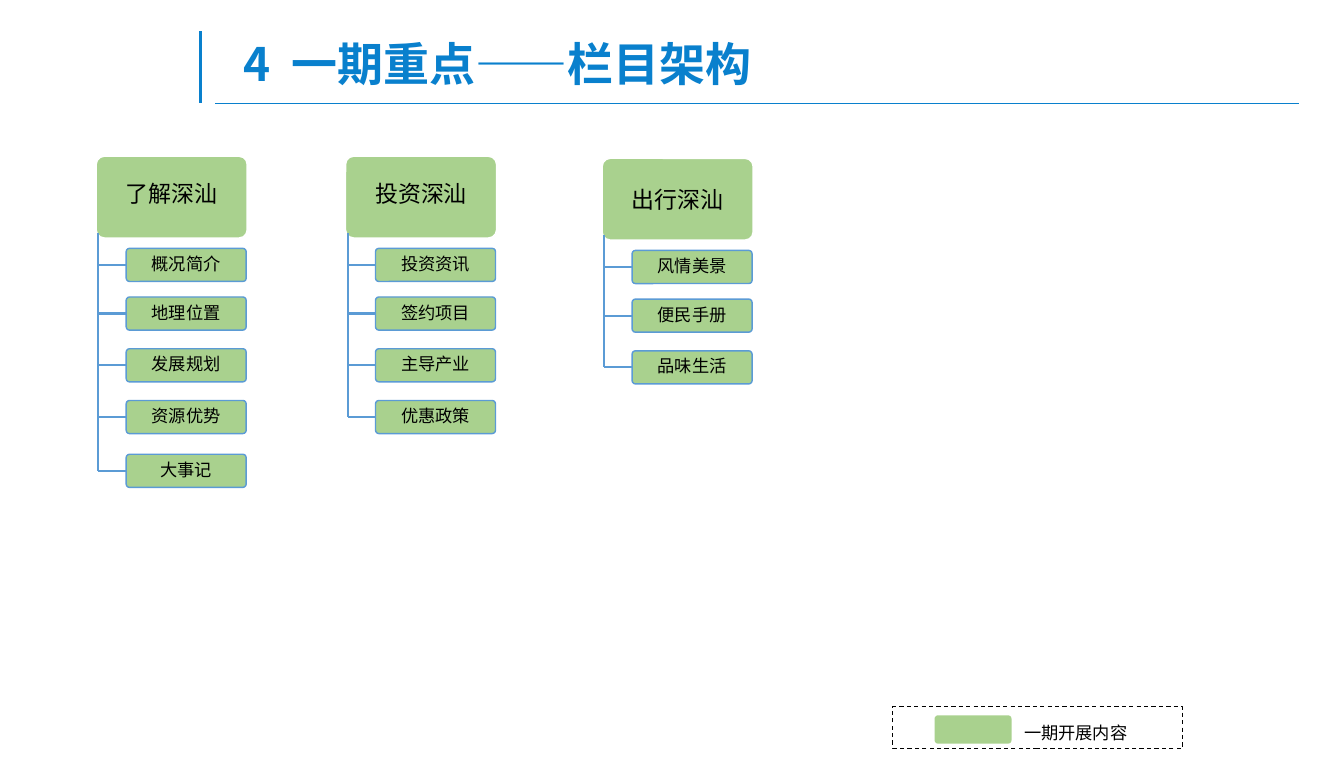
"""Build the slide showing the phase-one column structure."""
from dataclasses import dataclass

from lxml.etree import SubElement
from pptx import Presentation
from pptx.dml.color import RGBColor
from pptx.enum.dml import MSO_LINE
from pptx.enum.shapes import MSO_CONNECTOR, MSO_SHAPE
from pptx.enum.text import MSO_ANCHOR, MSO_AUTO_SIZE, PP_ALIGN
from pptx.oxml.ns import qn
from pptx.shapes.autoshape import Shape
from pptx.slide import Slide
from pptx.text.text import TextFrame
from pptx.util import Inches, Pt

FONT = "Noto Sans CJK SC"
TITLE_BLUE = RGBColor(0x09, 0x80, 0xCD)
BRANCH_BLUE = RGBColor(0x5B, 0x9B, 0xD5)
GREEN = RGBColor(0xA9, 0xD1, 0x8E)
WHITE = RGBColor(0xFF, 0xFF, 0xFF)
BLACK = RGBColor(0x00, 0x00, 0x00)

HEADING_WIDTH, HEADING_HEIGHT = 1.46, 0.79
ENTRY_WIDTH, ENTRY_HEIGHT = 1.16, 0.32
ENTRY_INDENT = 0.29
ENTRY_OFFSETS = (0.89, 1.36, 1.86, 2.36, 2.88)
TRUNK_INDENT, TRUNK_OFFSET = 0.02, 0.74


@dataclass(frozen=True)
class Column:
    """A heading with the entries that branch off below it."""

    heading: str
    left: float
    top: float
    heading_spacing: float
    entries: tuple[str, ...]


COLUMNS = (
    Column("了解深汕", 0.93, 1.51, 0.6,
           ("概况简介", "地理位置", "发展规划", "资源优势", "大事记")),
    Column("投资深汕", 3.34, 1.51, 0.6,
           ("投资资讯", "签约项目", "主导产业", "优惠政策")),
    Column("出行深汕", 5.82, 1.53, 1.0,
           ("风情美景", "便民手册", "品味生活")),
)


def write(frame: TextFrame, text: str, size: float, color: RGBColor,
          align: PP_ALIGN, spacing: float, bold: bool = False) -> None:
    """Put one formatted paragraph into a text frame."""
    frame.text = text
    paragraph = frame.paragraphs[0]
    paragraph.alignment = align
    paragraph.line_spacing = spacing
    for run in paragraph.runs:
        run.font.name = FONT
        run.font.size = Pt(size)
        run.font.bold = bold
        run.font.color.rgb = color
        SubElement(run.font._element, qn("a:ea")).set("typeface", FONT)


def add_line(slide: Slide, start: tuple[float, float], end: tuple[float, float],
             color: RGBColor, width: float) -> None:
    """Draw a straight line without a shadow."""
    line = slide.shapes.add_connector(
        MSO_CONNECTOR.STRAIGHT, *map(Inches, (*start, *end)))
    line.line.color.rgb = color
    line.line.width = Pt(width)
    SubElement(line._element.spPr, qn("a:effectLst"))


def add_box(slide: Slide, left: float, top: float, width: float, height: float,
            outline: RGBColor) -> Shape:
    """Draw a green rounded box."""
    box = slide.shapes.add_shape(
        MSO_SHAPE.ROUNDED_RECTANGLE, *map(Inches, (left, top, width, height)))
    box.adjustments[0] = 0.1
    box.shadow.inherit = False
    box.fill.solid()
    box.fill.fore_color.rgb = GREEN
    box.line.color.rgb = outline
    box.line.width = Pt(1)
    return box


def label_box(box: Shape, text: str, size: float, spacing: float) -> None:
    """Centre a label in a box with narrow margins."""
    frame = box.text_frame
    frame.margin_left = frame.margin_right = Inches(0.04)
    frame.margin_top = frame.margin_bottom = Inches(0.03)
    frame.vertical_anchor = MSO_ANCHOR.MIDDLE
    write(frame, text, size, BLACK, PP_ALIGN.CENTER, spacing)


def add_column(slide: Slide, column: Column) -> None:
    """Draw a heading, its entries and the branches joining them."""
    heading = add_box(slide, column.left, column.top,
                      HEADING_WIDTH, HEADING_HEIGHT, WHITE)
    label_box(heading, column.heading, 16, column.heading_spacing)

    trunk = column.left + TRUNK_INDENT
    entry_left = column.left + ENTRY_INDENT
    middle = column.top
    for entry, offset in zip(column.entries, ENTRY_OFFSETS):
        top = column.top + offset
        middle = top + ENTRY_HEIGHT / 2
        box = add_box(slide, entry_left, top, ENTRY_WIDTH, ENTRY_HEIGHT, BRANCH_BLUE)
        label_box(box, entry, 12, 0.9)
        add_line(slide, (trunk, middle), (entry_left, middle), BRANCH_BLUE, 1.5)
    add_line(slide, (trunk, column.top + TRUNK_OFFSET), (trunk, middle),
             BRANCH_BLUE, 1.5)


def add_title(slide: Slide) -> None:
    """Format the title and draw its two rules."""
    add_line(slide, (2.08, 1), (12.56, 1), TITLE_BLUE, 0.5)
    add_line(slide, (1.94, 0.3), (1.94, 1), TITLE_BLUE, 2.25)
    title = slide.shapes.title
    title.left, title.top = Inches(2.25), Inches(0.3)
    title.width, title.height = Inches(10.24), Inches(0.69)
    frame = title.text_frame
    frame.auto_size = MSO_AUTO_SIZE.NONE
    frame.vertical_anchor = MSO_ANCHOR.MIDDLE
    write(frame, "4  一期重点——栏目架构", 32, TITLE_BLUE, PP_ALIGN.LEFT, 0.9, bold=True)


def add_legend(slide: Slide) -> None:
    """Draw the dashed legend with its swatch and label."""
    label = slide.shapes.add_textbox(*map(Inches, (9.8, 6.83, 1.46, 0.4)))
    label.text_frame.word_wrap = True
    write(label.text_frame, "一期开展内容", 12, BLACK, PP_ALIGN.LEFT, 1.5)
    add_box(slide, 9.04, 6.92, 0.73, 0.26, GREEN)
    border = slide.shapes.add_shape(
        MSO_SHAPE.RECTANGLE, *map(Inches, (8.63, 6.83, 2.8, 0.4)))
    border.shadow.inherit = False
    border.fill.background()
    border.line.color.rgb = BLACK
    border.line.width = Pt(0.75)
    border.line.dash_style = MSO_LINE.DASH


def main() -> None:
    """Create the presentation and save it."""
    presentation = Presentation()
    presentation.slide_width = Inches(12.99)
    presentation.slide_height = Inches(7.48)
    slide = presentation.slides.add_slide(presentation.slide_layouts[5])
    add_title(slide)
    for column in COLUMNS:
        add_column(slide, column)
    add_legend(slide)
    presentation.save("out.pptx")


if __name__ == "__main__":
    main()
